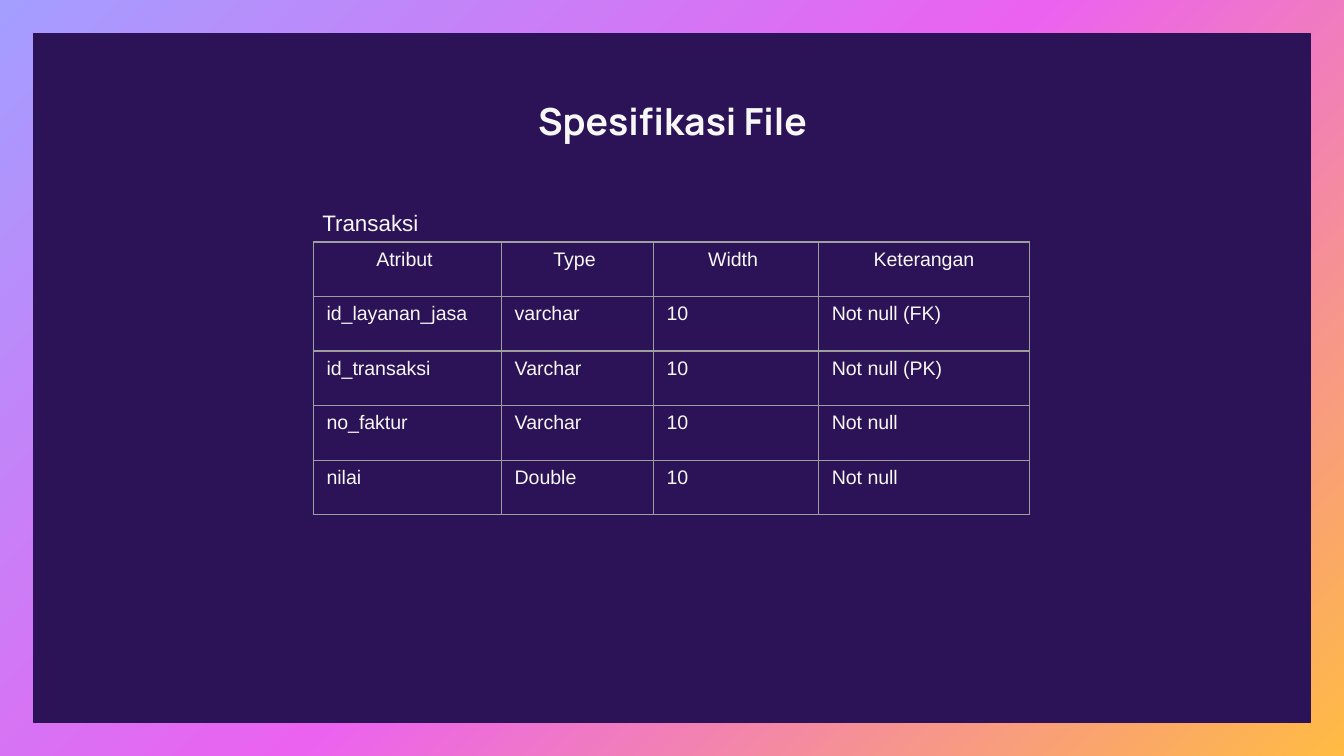
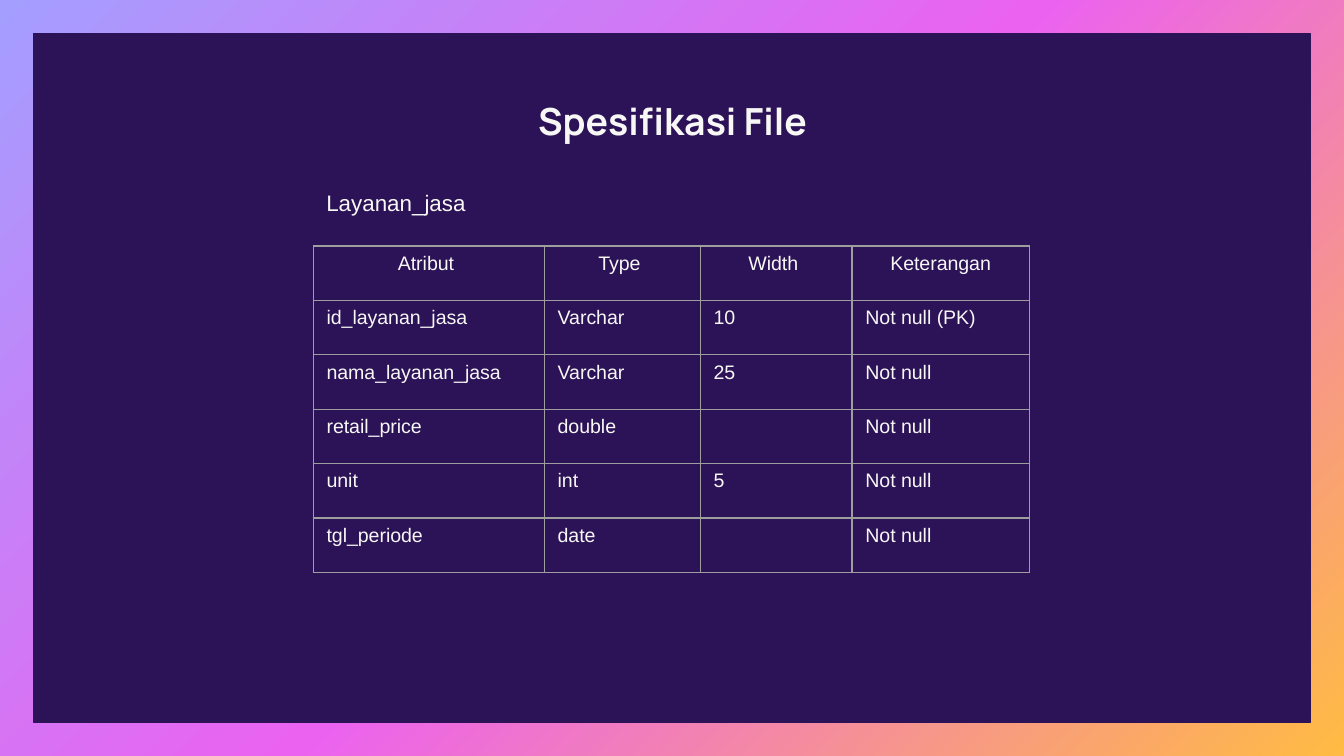
from dataclasses import dataclass

from lxml.etree import SubElement
from pptx import Presentation
from pptx.dml.color import RGBColor
from pptx.enum.shapes import MSO_SHAPE
from pptx.enum.text import MSO_ANCHOR, MSO_AUTO_SIZE, PP_ALIGN
from pptx.oxml import parse_xml
from pptx.oxml.ns import nsdecls, qn
from pptx.util import Inches, Pt

# Content
TITLE = "Spesifikasi File"
HEADER = ("Atribut ", "Type ", "Width ", "Keterangan")
PAGES = [
    {
        "label": "Transaksi",
        "label_at": (2.3, 1.51),
        "table_top": 1.8,
        "table_height": 2.03,
        "columns": (1.4, 1.13, 1.23, 1.57),
        "rows": [
            ("id_layanan_jasa", "varchar", "10", "Not null (FK)"),
            ("id_transaksi", "Varchar", "10", "Not null (PK)"),
            ("no_faktur", "Varchar", "10", "Not null"),
            ("nilai", "Double", "10", "Not null"),
        ],
    },
    {
        "label": "Layanan_jasa",
        "label_at": (2.33, 1.36),
        "table_top": 1.83,
        "table_height": 2.43,
        "columns": (1.72, 1.16, 1.13, 1.32),
        "rows": [
            ("id_layanan_jasa", "Varchar", "10", "Not null (PK)"),
            ("nama_layanan_jasa", "Varchar", "25", "Not null"),
            ("retail_price", "double", "", "Not null"),
            ("unit", "int", "5", "Not null"),
            ("tgl_periode", "date", "", "Not null"),
        ],
    },
]


# Shared look
@dataclass(frozen=True)
class Theme:
    gradient: tuple = ((0, "A49EFF"), (50, "EB62F0"), (100, "FFBB43"))
    gradient_angle: int = 45
    panel: str = "2C1256"
    text: str = "F7F7F5"
    border: str = "9E9E9E"
    line_width: float = 0.75
    title_font: str = "Manrope"
    body_font: str = "Arial"
    title_size: float = 20
    label_size: float = 12
    cell_size: float = 10.5


THEME = Theme()
SLIDE_WIDTH = 10
SLIDE_HEIGHT = SLIDE_WIDTH * 9 / 16
MARGIN = 0.25
TABLE_LEFT = 2.33


def write(frame, text, font, size, align=PP_ALIGN.LEFT, bold=False):
    para = frame.paragraphs[0]
    para.alignment = align
    if not text:
        return
    span = para.add_run()
    span.text = text
    span.font.name = font
    span.font.size = Pt(size)
    span.font.bold = bold
    span.font.color.rgb = RGBColor.from_string(THEME.text)


# Background and panel, kept on the layout
def paint_background(layout):
    layout.background.fill.solid()
    properties = layout.element.find(".//" + qn("p:bgPr"))
    stops = "".join(
        f'<a:gs pos="{percent * 1000}"><a:srgbClr val="{color}"/></a:gs>'
        for percent, color in THEME.gradient
    )
    gradient = parse_xml(
        f'<a:gradFill {nsdecls("a")} rotWithShape="1"><a:gsLst>{stops}</a:gsLst>'
        f'<a:lin ang="{THEME.gradient_angle * 60000}" scaled="0"/></a:gradFill>'
    )
    properties.replace(properties.find(qn("a:solidFill")), gradient)


def place_panel(layout, page):
    for holder in list(layout.placeholders)[1:]:
        holder.element.getparent().remove(holder.element)
    panel = page.shapes.add_shape(
        MSO_SHAPE.RECTANGLE, Inches(MARGIN), Inches(MARGIN),
        Inches(SLIDE_WIDTH - 2 * MARGIN), Inches(SLIDE_HEIGHT - 2 * MARGIN),
    )
    panel.shadow.inherit = False
    panel.fill.solid()
    panel.fill.fore_color.rgb = RGBColor.from_string(THEME.panel)
    panel.line.color.rgb = RGBColor.from_string(THEME.panel)
    panel.line.width = Pt(THEME.line_width)
    layout.shapes.element.insert(2, panel.element)


# Parts of a page
def add_title(page):
    title = page.shapes.title
    title.left, title.top = Inches(0.79), Inches(0.59)
    title.width, title.height = Inches(8.43), Inches(0.62)
    frame = title.text_frame
    frame.auto_size = MSO_AUTO_SIZE.NONE
    frame.vertical_anchor = MSO_ANCHOR.MIDDLE
    frame.margin_left = frame.margin_right = Inches(0.1)
    frame.margin_top = frame.margin_bottom = Inches(0.1)
    write(frame, TITLE, THEME.title_font, THEME.title_size, PP_ALIGN.CENTER, True)


def add_label(page, text, left, top):
    box = page.shapes.add_textbox(Inches(left), Inches(top), Inches(1.34), Inches(0.3))
    frame = box.text_frame
    frame.word_wrap = True
    frame.auto_size = MSO_AUTO_SIZE.SHAPE_TO_FIT_TEXT
    frame.vertical_anchor = MSO_ANCHOR.MIDDLE
    write(frame, text, THEME.body_font, THEME.label_size)


def add_borders(cell):
    properties = cell.fill._xPr
    for position, side in enumerate(("lnL", "lnR", "lnT", "lnB")):
        line = SubElement(properties, qn(f"a:{side}"), w=str(Pt(THEME.line_width)))
        fill = SubElement(line, qn("a:solidFill"))
        SubElement(fill, qn("a:srgbClr"), val=THEME.border)
        properties.insert(position, line)


def add_specification(page, content):
    rows = [HEADER, *content["rows"]]
    columns = content["columns"]
    table = page.shapes.add_table(
        len(rows), len(columns), Inches(TABLE_LEFT), Inches(content["table_top"]),
        Inches(sum(columns)), Inches(content["table_height"]),
    ).table
    table.first_row = table.horz_banding = False
    for column, width in zip(table.columns, columns):
        column.width = Inches(width)
    for row_index, row in enumerate(rows):
        align = PP_ALIGN.LEFT if row_index else PP_ALIGN.CENTER
        for column_index, text in enumerate(row):
            cell = table.cell(row_index, column_index)
            cell.fill.background()
            add_borders(cell)
            write(cell.text_frame, text, THEME.body_font, THEME.cell_size, align)


def main():
    deck = Presentation()
    deck.slide_width, deck.slide_height = Inches(SLIDE_WIDTH), Inches(SLIDE_HEIGHT)
    layout = deck.slide_layouts.get_by_name("Title Only")
    paint_background(layout)
    for index, content in enumerate(PAGES):
        page = deck.slides.add_slide(layout)
        if index == 0:
            place_panel(layout, page)
        add_title(page)
        add_label(page, content["label"], *content["label_at"])
        add_specification(page, content)
    deck.save("out.pptx")


if __name__ == "__main__":
    main()
